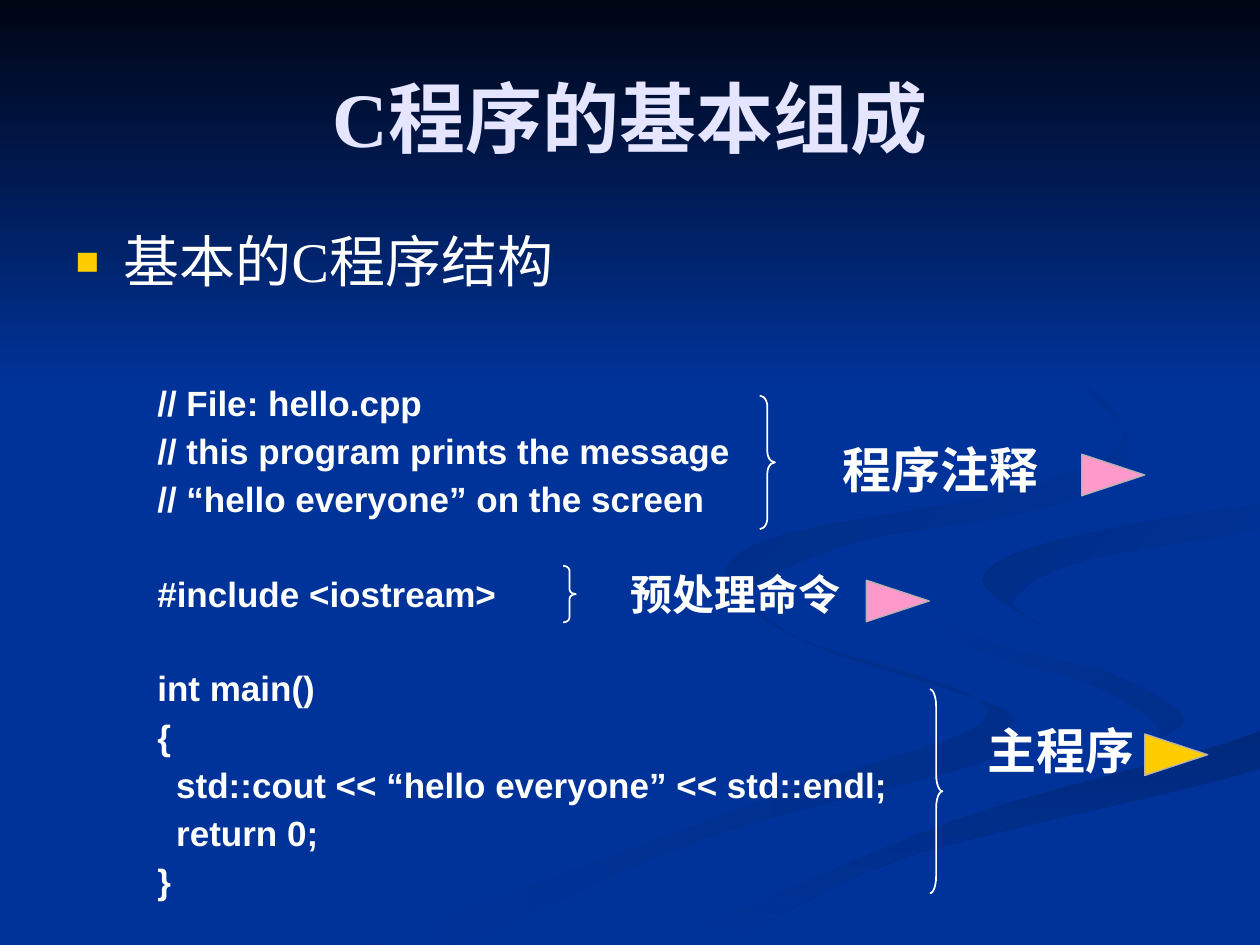
from lxml.etree import SubElement
from pptx import Presentation
from pptx.dml.color import RGBColor
from pptx.enum.shapes import MSO_SHAPE
from pptx.enum.text import MSO_ANCHOR, MSO_AUTO_SIZE, PP_ALIGN
from pptx.oxml.ns import qn
from pptx.util import Inches, Pt

WIDTH, HEIGHT = Inches(10), Inches(7.5)
COLUMN, ROW = WIDTH / 10, HEIGHT / 7.5
CURVE_STEPS = 6
BLUE = RGBColor(0x00, 0x33, 0x99)
NIGHT = RGBColor(0x00, 0x05, 0x14)
DUSK = RGBColor(0x00, 0x2E, 0x8A)
SHADE = RGBColor(0x00, 0x29, 0x7C)
MIST = RGBColor(0x00, 0x2C, 0x85)
DEEP = RGBColor(0x00, 0x2B, 0x81)
WHITE = RGBColor(0xFF, 0xFF, 0xFF)
LAVENDER = RGBColor(0xE5, 0xE5, 0xFF)
GOLD = RGBColor(0xFF, 0xCC, 0x00)
PINK = RGBColor(0xFF, 0x99, 0xCC)
GREY = RGBColor(0xB2, 0xB2, 0xB2)
SERIF, SANS = "Times New Roman", "Arial"
LINE_GAP, BLOCK_GAP = Pt(3.5), Pt(30)
CODE_INDENT, BULLET_INDENT = Inches(0.15), Inches(0.38)

RIBBONS = [
    (DUSK, BLUE, 180, [
        (7.9, 5.6), (6.4, 5.1), (5.75, 4.6), (6.3, 5.05), (7.85, 5.65), (6.2, 6.3),
        (3, 7.5), (3.6, 7.5), (5.6, 6.65), (7.8, 6.05), (8, 5.8)]),
    (DUSK, BLUE, 225, [
        (9.4, 5.7), (8.7, 5.3), (7.6, 5), (7.25, 4.65), (7.65, 5.1), (8.7, 5.45),
        (9.2, 5.8), (8.95, 6.05)]),
    (SHADE, BLUE, 90, [
        (5, 7.5), (5.7, 7.5), (7.2, 6.8), (10, 6.1), (10, 5.8), (7.6, 6.5)]),
    (BLUE, BLUE, 0, [
        (7.25, 4.65), (7.9, 5.1), (9.05, 5.4), (9.4, 5.75), (8.1, 6.25), (4.8, 7.5),
        (5.2, 7.5), (7.6, 6.5), (10, 5.8), (10, 5.4), (8.2, 4.9), (7.8, 4.6),
        (8.35, 4.3), (10, 4), (10, 3.85), (7.9, 4.2)]),
    (BLUE, MIST, 225, [
        (7.8, 4.6), (8.25, 4.95), (8.05, 4.75), (8.6, 4.45), (10, 4.2), (10, 4), (8.35, 4.3)]),
    (BLUE, DEEP, 225, [
        (6.8, 4.3), (8.4, 4), (8.95, 3.45), (7.6, 2.3), (8.9, 3.35), (8.2, 3.85),
        (6.2, 4.25), (5.75, 4.6), (6.2, 5), (5.95, 4.7)]),
]
CODE_BLOCKS = [
    ["// File: hello.cpp", "// this program prints the message",
     "// “hello everyone” on the screen"],
    ["#include <iostream>"],
    ["int main()", "{", "  std::cout << “hello everyone” << std::endl;", "  return 0;", "}"],
]
BRACES = [(6.03, 3.14, 0.12, 1.06), (4.47, 4.49, 0.1, 0.45), (7.38, 5.47, 0.1, 1.62)]
LABELS = [
    ("程序注释", 28, (6.59, 3.44, 2, 0.57)),
    ("预处理命令", 24, (4.91, 4.46, 2.47, 0.5)),
    ("主程序", 28, (7.74, 5.67, 1.69, 0.57)),
]
MARKERS = [(6.96, 4.52, PINK), (8.67, 3.52, PINK), (9.17, 5.74, GOLD)]


def grid(left, top, width, height):
    """Turn columns and rows into slide lengths."""
    return [round(length) for length in (left * COLUMN, top * ROW, width * COLUMN, height * ROW)]


def format_text(paragraph, size, font_name, color, bold):
    """Format every run of a paragraph."""
    for run in paragraph.runs:
        run.font.size, run.font.name, run.font.bold = Pt(size), font_name, bold
        run.font.color.rgb = color


def blend(before, start, end, after, share):
    """Return one coordinate on a Catmull-Rom curve from start to end."""
    return start + share / 2 * (
        end - before
        + share * (2 * before - 5 * start + 4 * end - after)
        + share ** 2 * (3 * (start - end) + after - before))


def smooth_outline(anchors):
    """Trace a closed curve through the anchors, kept on the slide."""
    outline = []
    for index in range(len(anchors)):
        near = [anchors[(index + offset) % len(anchors)] for offset in (-1, 0, 1, 2)]
        for step in range(CURVE_STEPS):
            column, row = [blend(*axis, step / CURVE_STEPS) for axis in zip(*near)]
            outline.append((min(column * COLUMN, WIDTH), min(row * ROW, HEIGHT)))
    return outline


def paint(shape, first, last, angle):
    """Fill a backdrop shape with one colour or a blend of two."""
    shape.shadow.inherit = False
    shape.line.fill.background()
    if first == last:
        shape.fill.solid()
        shape.fill.fore_color.rgb = first
        return
    shape.fill.gradient()
    shape.fill.gradient_angle = 360 - angle
    for stop, color in zip(shape.fill.gradient_stops, (first, last)):
        stop.color.rgb = color


def add_backdrop(slide):
    """Draw the winding ribbons and the dark band at the top."""
    for first, last, angle, anchors in RIBBONS:
        outline = smooth_outline(anchors)
        builder = slide.shapes.build_freeform(*outline[0])
        builder.add_line_segments(outline[1:], close=True)
        paint(builder.convert_to_shape(), first, last, angle)
    band = slide.shapes.add_shape(MSO_SHAPE.RECTANGLE, *grid(0, 0, 10, 3.08))
    paint(band, NIGHT, BLUE, 90)


def fill_placeholder(slide, placeholder, text, box, size, color, bold):
    """Move a placeholder above the backdrop and set its single paragraph."""
    slide.shapes._spTree.append(placeholder._element)
    placeholder.left, placeholder.top, placeholder.width, placeholder.height = grid(*box)
    placeholder.text_frame.text = text
    placeholder.text_frame.auto_size = MSO_AUTO_SIZE.NONE
    paragraph = placeholder.text_frame.paragraphs[0]
    format_text(paragraph, size, SERIF, color, bold)
    return paragraph


def add_bullet(paragraph):
    """Give a paragraph a hanging gold square."""
    properties = paragraph._p.get_or_add_pPr()
    properties.set("marL", str(BULLET_INDENT))
    properties.set("indent", str(-BULLET_INDENT))
    color = SubElement(properties, qn("a:buClr"))
    SubElement(color, qn("a:srgbClr"), val=str(GOLD))
    SubElement(properties, qn("a:buSzPct"), val="70000")
    SubElement(properties, qn("a:buFont"), typeface=SANS)
    SubElement(properties, qn("a:buChar"), char="■")


def add_text(slide, text, box):
    """Add a wrapping text box and return its paragraphs."""
    frame = slide.shapes.add_textbox(*grid(*box)).text_frame
    frame.word_wrap = True
    frame.text = text
    return frame.paragraphs


def add_code(slide, blocks, box):
    """Write blocks of code lines, set apart by paragraph spacing."""
    text = "\n".join(line.strip() for block in blocks for line in block)
    paragraphs = iter(add_text(slide, text, box))
    for block_number, block in enumerate(blocks):
        for line_number, line in enumerate(block):
            paragraph = next(paragraphs)
            format_text(paragraph, 20, SANS, WHITE, True)
            starts_block = block_number > 0 and line_number == 0
            paragraph.space_before = BLOCK_GAP if starts_block else LINE_GAP
            if line.startswith(" "):
                paragraph._p.get_or_add_pPr().set("marL", str(CODE_INDENT))


def add_label(slide, text, size, box):
    """Name a part of the program."""
    format_text(add_text(slide, text, box)[0], size, SANS, WHITE, True)


def add_brace(slide, left, top, width, height):
    """Draw a right brace beside a block of code."""
    shape = slide.shapes.add_shape(MSO_SHAPE.RIGHT_BRACE, *grid(left, top, width, height))
    shape.adjustments[0] = height / width / 12
    shape.shadow.inherit = False
    shape.fill.background()
    shape.line.color.rgb, shape.line.width = WHITE, Pt(1)


def add_marker(slide, left, top, color):
    """Draw a triangle that points right."""
    shape = slide.shapes.add_shape(MSO_SHAPE.ISOSCELES_TRIANGLE, *grid(left, top, 0.33, 0.5))
    shape.rotation = 90
    shape.shadow.inherit = False
    shape.fill.solid()
    shape.fill.fore_color.rgb = color
    shape.line.color.rgb, shape.line.width = GREY, Pt(0.75)


def main():
    """Build the slide and save it."""
    presentation = Presentation()
    presentation.slide_width, presentation.slide_height = WIDTH, HEIGHT
    slide = presentation.slides.add_slide(presentation.slide_layouts[1])
    slide.background.fill.solid()
    slide.background.fill.fore_color.rgb = BLUE
    title, body = slide.placeholders
    add_backdrop(slide)
    heading = fill_placeholder(slide, title, "C程序的基本组成", (0.5, 0.3, 9, 1.25), 44, LAVENDER, True)
    heading.alignment = PP_ALIGN.CENTER
    title.text_frame.vertical_anchor = MSO_ANCHOR.MIDDLE
    point = fill_placeholder(slide, body, "基本的C程序结构", (0.5, 1.75, 9, 0.79), 32, WHITE, False)
    point.space_before = Pt(8)
    add_bullet(point)
    add_code(slide, CODE_BLOCKS, (1.15, 2.98, 7.49, 4.12))
    for brace in BRACES:
        add_brace(slide, *brace)
    for label in LABELS:
        add_label(slide, *label)
    for marker in MARKERS:
        add_marker(slide, *marker)
    presentation.save("out.pptx")


if __name__ == "__main__":
    main()
